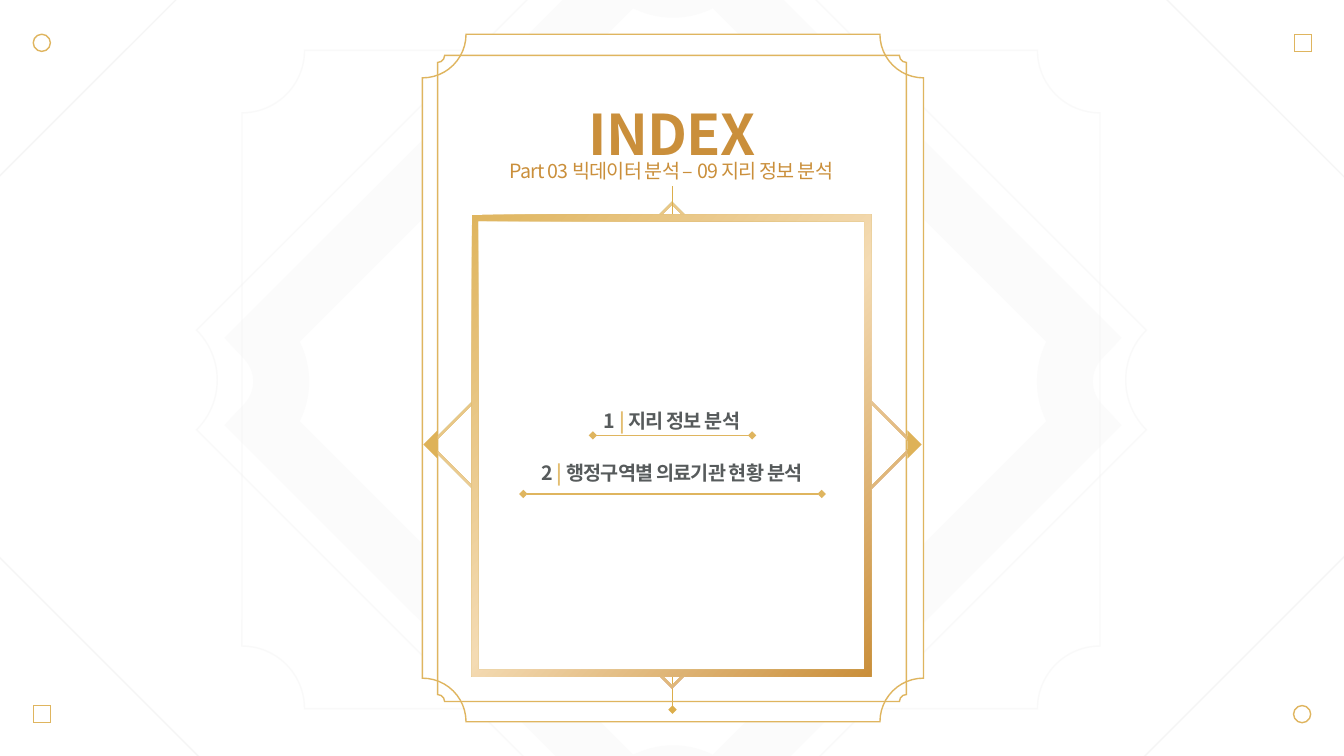
from lxml import etree
from pptx import Presentation
from pptx import util as u
from pptx.dml.color import RGBColor
from pptx.enum import shapes, text
from pptx.oxml import ns

FONT = "Noto Sans CJK KR"
COLORS = {
    "white": "FFFFFF", "pale": "F2F2F2", "gold": "DFB55F", "stem": "DCAE4B",
    "arrow": "DEB258", "bronze": "CA8F3B", "cream": "F4DBB3",
    "bar": "E3BD70", "ink": "575B5C",
}
TITLE = "INDEX"
SUBTITLE = "Part 03 빅데이터 분석 – 09 지리 정보 분석"
ITEMS = ["지리 정보 분석", "행정구역별 의료기관 현황 분석"]

# left, top, width, height, rotation, line width, opacity in percent
BACKDROP = [
    (0.61, -2.41, 12.1, 12.1, 45, 1, 70),
    (2.4, 0.5, 8.51, 6.53, 0, 1, 42),
    (2.98, 0.09, 7.36, 7.36, 45, 1, 42),
    (3.5, 0.61, 6.35, 6.35, 45, 40, 25),
]
GRADIENT = [(0, "bronze"), (48, "cream"), (100, "gold")]
CENTER_X = 6.67
# x1, x2, y
UNDERLINES = [(5.88, 7.46, 4.32), (5.19, 8.15, 4.9)]
CORNER_SIZE = 0.17
CORNERS = [(0.33, 0.34, "OVAL"), (12.84, 0.34, "RECTANGLE"),
           (0.33, 7, "RECTANGLE"), (12.83, 7, "OVAL")]

presentation = Presentation()
presentation.slide_width = u.Inches(13.33)
presentation.slide_height = u.Inches(7.5)
slide = presentation.slides.add_slide(presentation.slide_layouts[6])


def rgb(name):
    return RGBColor.from_string(COLORS[name])


def add_child(parent, tag, **attributes):
    return etree.SubElement(parent, ns.qn(tag), attributes)


def add_figure(kind, box, fill=None, line=None, width=1, rotation=0, adjust=None):
    shape = slide.shapes.add_shape(
        getattr(shapes.MSO_SHAPE, kind), *[u.Inches(value) for value in box])
    shape.shadow.inherit = False
    shape.rotation = rotation
    if adjust is not None:
        shape.adjustments[0] = adjust
    if fill:
        shape.fill.solid()
        shape.fill.fore_color.rgb = rgb(fill)
    else:
        shape.fill.background()
    if line:
        shape.line.color.rgb = rgb(line)
        shape.line.width = u.Pt(width)
        add_child(shape.line._get_or_add_ln(), "a:miter", lim="800000")
    else:
        shape.line.fill.background()
    return shape


def add_gold_frame(box, rotation, adjust):
    """Add a frame whose gradient spreads from its lower right corner."""
    frame = add_figure("FRAME", box, rotation=rotation, adjust=adjust)
    no_fill = frame._element.spPr.find(ns.qn("a:noFill"))
    gradient = etree.Element(ns.qn("a:gradFill"), rotWithShape="1")
    stops = add_child(gradient, "a:gsLst")
    for position, color in GRADIENT:
        stop = add_child(stops, "a:gs", pos=str(position * 1000))
        add_child(stop, "a:srgbClr", val=COLORS[color])
    circle = add_child(gradient, "a:path", path="circle")
    add_child(circle, "a:fillToRect", l="100000", t="100000")
    no_fill.getparent().replace(no_fill, gradient)


def add_line(start, end, color, *diamond_ends):
    points = [u.Inches(value) for value in start + end]
    connector = slide.shapes.add_connector(shapes.MSO_CONNECTOR.STRAIGHT, *points)
    connector.line.color.rgb = rgb(color)
    connector.line.width = u.Pt(1)
    for tag in diamond_ends:
        add_child(connector.line._get_or_add_ln(), tag, type="diamond")
    add_child(connector._element.spPr, "a:effectLst")


def add_paragraph(paragraph, runs, size, bold, spacing):
    paragraph.alignment = text.PP_ALIGN.CENTER
    paragraph.line_spacing = spacing
    for words, color in runs:
        run = paragraph.add_run()
        run.text = words
        run.font.size = u.Pt(size)
        run.font.bold = bold
        run.font.color.rgb = rgb(color)
        run.font.name = FONT
        properties = run.font._element
        properties.set("spc", "-60")
        add_child(properties, "a:ea", typeface=FONT)


def add_heading(box, words, size, bold):
    heading = slide.shapes.add_textbox(*[u.Inches(value) for value in box])
    frame = heading.text_frame
    frame.word_wrap = True
    frame.vertical_anchor = text.MSO_ANCHOR.MIDDLE
    frame.margin_left = frame.margin_right = frame.margin_top = frame.margin_bottom = 0
    add_paragraph(frame.paragraphs[0], [(words, "bronze")], size, bold, 1.2)


for *box, rotation, width, opacity in BACKDROP:
    plaque = add_figure("PLAQUE", box, line="pale", width=width,
                        rotation=rotation, adjust=0.095)
    color = plaque.line._get_or_add_ln().find(".//" + ns.qn("a:srgbClr"))
    add_child(color, "a:alpha", val=str(opacity * 1000))

add_figure("PLAQUE", (4.19, 0.34, 4.97, 6.82), "white", "gold", adjust=0.087)
add_line((CENTER_X, 6.16), (CENTER_X, 7.04), "stem", "a:tailEnd")
add_figure("PLAQUE", (4.34, 0.55, 4.65, 6.41), line="gold", adjust=0.015)
add_gold_frame((4.96, 2.71, 3.41, 3.41), 45, 0.005)
for left, rotation in [(4.13, 270), (8.93, 90)]:
    add_figure("ISOSCELES_TRIANGLE", (left, 4.34, 0.28, 0.14), "arrow", rotation=rotation)
add_line((CENTER_X, 1.85), (CENTER_X, 2.54), "stem", "a:tailEnd")

add_heading((5.3, 0.94, 2.73, 0.62), TITLE, 40, True)

panel = add_figure("RECTANGLE", (4.74, 2.15, 3.85, 4.56), "white")
contents = panel.text_frame
contents.word_wrap = True
contents.vertical_anchor = text.MSO_ANCHOR.MIDDLE
for number, item in enumerate(ITEMS, 1):
    paragraph = contents.paragraphs[0] if number == 1 else contents.add_paragraph()
    if number > 1:
        paragraph.space_before = u.Pt(20.3)
    runs = [(f"{number} ", "ink"), ("| ", "bar"), (item, "ink")]
    add_paragraph(paragraph, runs, 14, True, 1.0)

add_gold_frame((4.68, 2.13, 3.96, 4.58), 0, 0.016)
for left, top, kind in CORNERS:
    add_figure(kind, (left, top, CORNER_SIZE, CORNER_SIZE), line="gold")
add_heading((4.81, 1.5, 3.7, 0.34), SUBTITLE, 14, False)
for left, right, y in UNDERLINES:
    add_line((left, y), (right, y), "gold", "a:headEnd", "a:tailEnd")

presentation.save("out.pptx")
